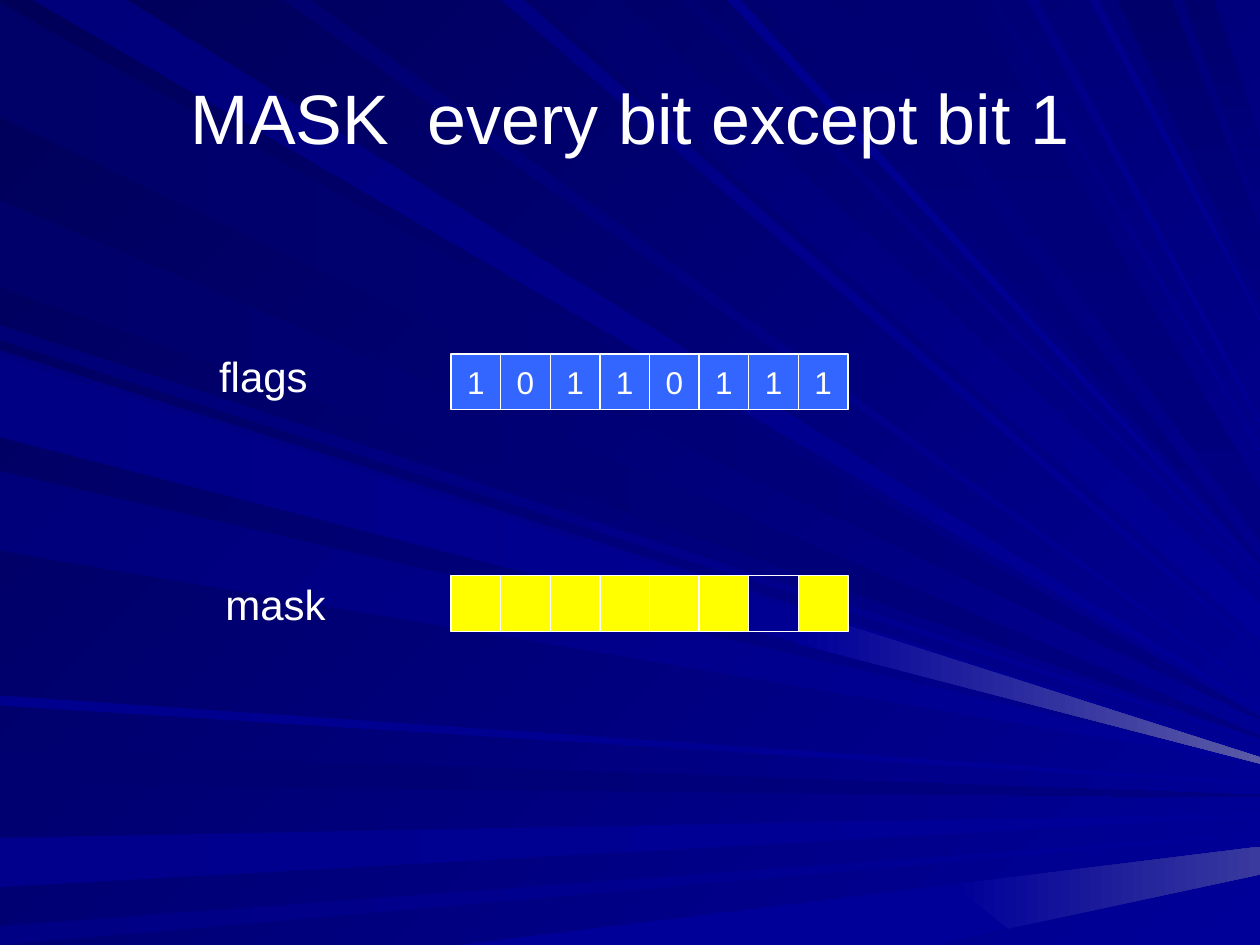
from pptx import Presentation
from pptx.dml.color import RGBColor
from pptx.enum.shapes import MSO_SHAPE
from pptx.enum.text import MSO_ANCHOR, MSO_AUTO_SIZE, PP_ALIGN
from pptx.util import Inches, Pt

WHITE, BLUE, YELLOW = "FFFFFF", "3366FF", "FFFF00"
NAVY, ROYAL = "000080", "000099"
WIDE, HIGH = 10, 7.5

RAYS = [
    ("left", NAVY, 0, [("69", 0.02, 0.93, 5.7), ("71", 5.96, 6.23, 6.32), ("6B", 1.59, 2.28, 5.85)]),
    ("top", ROYAL, 45, [("7B", 0.26, 1.01, 5.63)]),
    ("left", ROYAL, 0, [("8C", 6.65, 7.04, 6.47), ("85", 7.35, HIGH, 6.62), ("8E", 5.52, 5.6, 6.22)]),
    ("left", ROYAL, 45, [("76", 2.58, 2.7, 5.89), ("7E", 2.78, 3.42, 6), ("7B", 3.74, 4.37, 6.06)]),
    ("top", ROYAL, 45, [
        ("83", 3.98, 4.16, 5.18), ("6D", 4.26, 4.92, 4.93, 0.28), ("73", 5.4, 5.52, 4.63),
        ("70", 2.25, 2.47, 5.5), ("8E", 5.77, 5.88, 4.54)]),
    ("top", NAVY, 90, [
        ("73", 6.06, 6.61, 4.46), ("6B", 8.87, 9.3, 2.1, 0.54), ("6D", 9.39, 9.64, 1.4, 0.53),
        ("73", 6.86, 7.7, 4.09, 0.38)]),
    ("top", ROYAL, 45, [
        ("78", 7.85, 7.92, 3.57), ("85", 8.15, 8.24, 3.35), ("8A", 8.65, 8.72, 2.53)]),
    ("left", ROYAL, 0, [("85", 2.83, 3.47, 6.03)]),
]
GLOWS = [
    ([(3.64, HIGH), (7.42, HIGH), (8, 7.37), (7.56, 7.02)], [ROYAL]),
    ([(7.56, 7.02), (WIDE, 6.72), (WIDE, 6.94), (8, 7.37)], [ROYAL, "39399E"]),
    ([(6.37, 4.85), (WIDE, 6.01), (WIDE, 6.06), (6.33, 5.11)], [ROYAL, "5A5AA6"]),
]


def rgb(code):
    """Turn a hex string into a colour."""
    return RGBColor.from_string(code)


def assign(item, values):
    """Set each named value on the item."""
    for name, value in values.items():
        setattr(item, name, value)


def paint(fill, hues, angle=0):
    """Fill with nothing, one colour or a two-stop gradient turned clockwise."""
    if not hues:
        fill.background()
    elif len(hues) == 1:
        fill.solid()
        fill.fore_color.rgb = rgb(hues[0])
    else:
        fill.gradient()
        fill.gradient_angle = -angle % 360
        for place, (stop, hue) in enumerate(zip(fill.gradient_stops, hues)):
            stop.color.rgb = rgb(hue)
            stop.position = place


def write(shape, text, size, frame, align=PP_ALIGN.LEFT):
    """Put one line of white text in a shape."""
    assign(shape.text_frame, frame)
    para = shape.text_frame.paragraphs[0]
    para.alignment = align
    run = para.add_run()
    run.text = text
    assign(run.font, {"name": "Arial", "size": Pt(size)})
    run.font.color.rgb = rgb(WHITE)


def add_ray(group, left, top, points, hues, angle=0):
    """Draw one filled outline relative to the given corner."""
    spots = [(Inches(left + x), Inches(top + y)) for x, y in points]
    pen = group.shapes.build_freeform(*spots[0])
    pen.add_line_segments(spots[1:], close=True)
    ray = pen.convert_to_shape()
    ray.shadow.inherit = False
    ray.line.fill.background()
    paint(ray.fill, hues, angle)


def add_rays(slide, left, top):
    """Fan rays from the left and top edges to the right edge, then the glows."""
    group = slide.shapes.add_group_shape()
    for side, light, angle, rays in RAYS:
        for shade, start, stop, tip, *spread in rays:
            half = sum(spread, 0.02) / 2
            base = [(start, 0), (stop, 0)] if side == "top" else [(0, stop), (0, start)]
            points = base + [(WIDE, tip - half), (WIDE, tip + half)]
            add_ray(group, left, top, points, ["0000" + shade, light], angle)
    for points, hues in GLOWS:
        add_ray(group, left, top, points, hues)


def add_title(slide, text, *box):
    """Place the centred title in its box."""
    title = slide.shapes.add_textbox(*map(Inches, box))
    frame = {"word_wrap": True, "vertical_anchor": MSO_ANCHOR.MIDDLE}
    write(title, text, 40, frame, PP_ALIGN.CENTER)


def add_label(slide, text, *box):
    """Place the name of a byte in its box."""
    label = slide.shapes.add_textbox(*map(Inches, box))
    frame = {"word_wrap": False, "auto_size": MSO_AUTO_SIZE.SHAPE_TO_FIT_TEXT}
    write(label, text, 24, frame)


def add_byte(slide, cells, left, top, width, height):
    """Split the box into equal bit cells, each with a text and a colour."""
    step = width / len(cells)
    for place, (text, hue) in enumerate(cells):
        box = (left + place * step, top, step, height)
        cell = slide.shapes.add_shape(MSO_SHAPE.RECTANGLE, *map(Inches, box))
        cell.shadow.inherit = False
        paint(cell.fill, [hue] if hue else [])
        cell.line.color.rgb = rgb(WHITE)
        cell.line.width = Pt(0.75)
        if text:
            frame = {"word_wrap": False, "vertical_anchor": MSO_ANCHOR.MIDDLE}
            write(cell, text, 18, frame, PP_ALIGN.CENTER)


def main():
    """Build and save the slide."""
    deck = Presentation()
    assign(deck, {"slide_width": Inches(WIDE), "slide_height": Inches(HIGH)})
    slide = deck.slides.add_slide(deck.slide_layouts[6])
    paint(slide.background.fill, ["000058", ROYAL], 45)
    add_rays(slide, 0, 0)
    add_title(slide, "MASK  every bit except bit 1", 0.5, 0.3, 9, 1.25)
    flags = [(bit, BLUE) for bit in "10110111"]
    mask = [("", None if bit == 1 else YELLOW) for bit in reversed(range(8))]
    add_byte(slide, flags, 3.58, 2.81, 3.15, 0.44)
    add_label(slide, "flags", 1.64, 2.73, 0.91, 0.5)
    add_byte(slide, mask, 3.58, 4.57, 3.15, 0.44)
    add_label(slide, "mask", 1.69, 4.54, 1, 0.5)
    deck.save("out.pptx")


if __name__ == "__main__":
    main()
